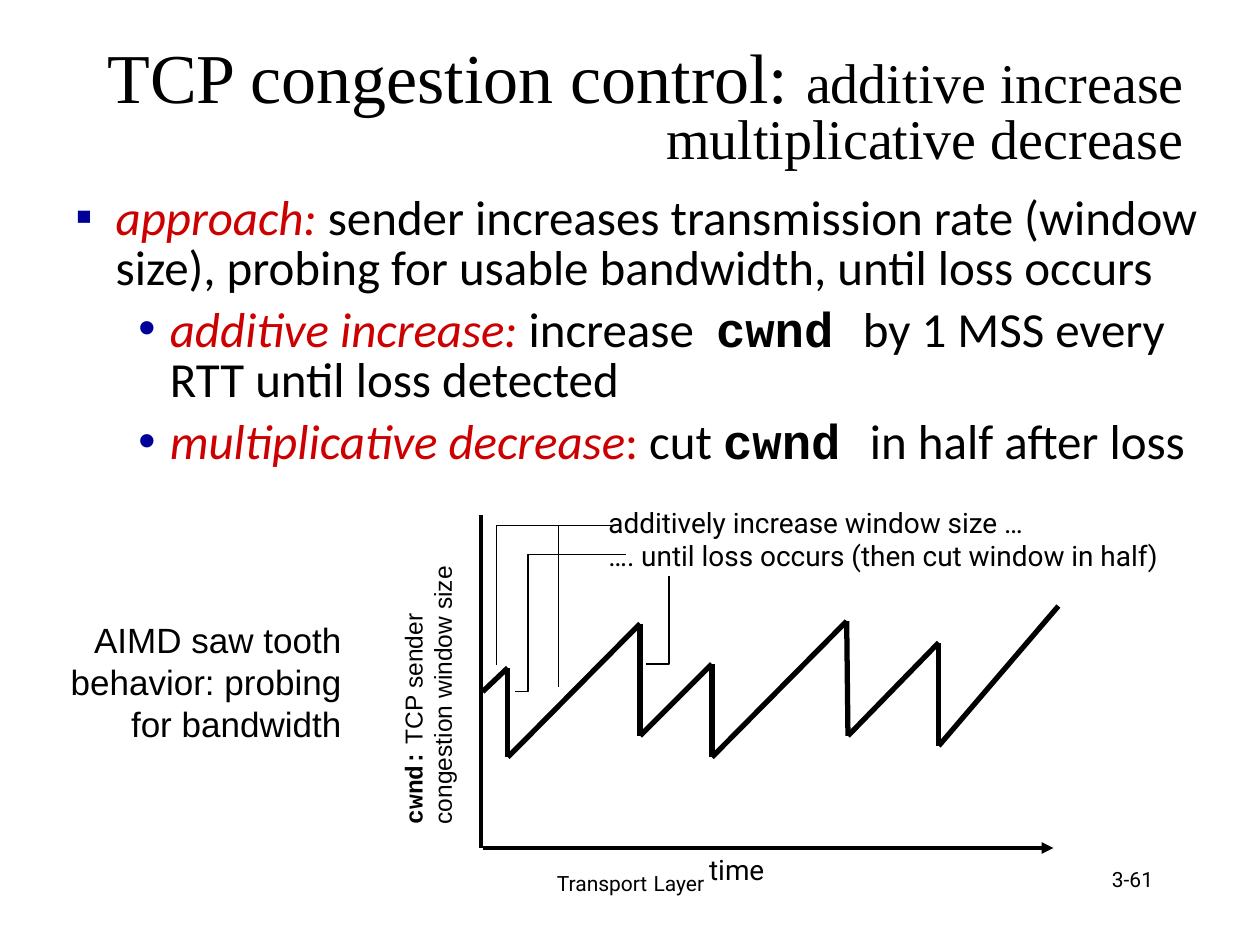
from itertools import pairwise
from lxml.etree import SubElement
from pptx import Presentation
from pptx.dml.color import RGBColor
from pptx.enum.shapes import MSO_CONNECTOR, MSO_SHAPE
from pptx.enum.text import MSO_ANCHOR, PP_ALIGN
from pptx.oxml.ns import qn
from pptx.util import Inches, Pt

THEME = {
    "black": RGBColor(0x00, 0x00, 0x00),
    "white": RGBColor(0xFF, 0xFF, 0xFF),
    "red": RGBColor(0xCC, 0x00, 0x00),
    "bullet": "000099",
    "axis": 2.25, "tooth": 3, "callout": 0.75,
}
LEFT, CENTER, RIGHT = PP_ALIGN.LEFT, PP_ALIGN.CENTER, PP_ALIGN.RIGHT

# Run styles: font, size, colour, bold, italic
STYLES = {
    "title": ("Times New Roman", 40, "black", False, False),
    "subtitle": ("Times New Roman", 32, "black", False, False),
    "body": ("Calibri", 28, "black", False, False),
    "term": ("Calibri", 28, "red", False, True),
    "colon": ("Calibri", 28, "red", False, False),
    "code": ("Courier New", 28, "black", True, False),
    "side": ("Arial", 20, "black", False, False),
    "axis": ("Arial", 14, "black", False, False),
    "axis code": ("Courier New", 14, "black", True, False),
    "note": ("Roboto", 16, "black", False, False),
    "footer": ("Roboto", 12, "black", False, False),
    "footer gap": ("Roboto", 14, "black", False, False),
}

# Content: each paragraph is a list of (text, style) runs
TITLE = [("TCP congestion control: ", "title"),
         ("additive increase multiplicative decrease", "subtitle")]

# Bullets: level, character, left margin, hanging indent, runs
BULLETS = [
    (0, "▪", 0.32, 0.32, [
        ("approach: ", "term"),
        ("sender increases transmission rate (window size), probing for "
         "usable bandwidth, until loss occurs", "body")]),
    (1, "•", 0.75, 0.25, [
        ("additive increase:", "term"), (" increase  ", "body"),
        ("cwnd ", "code"), ("by 1 MSS every RTT until loss detected", "body")]),
    (1, "•", 0.75, 0.25, [
        ("multiplicative decrease", "term"), (":", "colon"), (" cut ", "body"),
        ("cwnd ", "code"), ("in half after loss", "body")]),
]

# Labels: box, alignment, wrap, paragraphs
LABELS = [
    ((3.42, 6.83, 3.17, 0.5), CENTER, True,
     [[("Transport", "footer"), (" ", "footer gap"), ("Layer", "footer")]]),
    ((7.17, 6.83, 2.08, 0.5), RIGHT, True, [[("3-61", "footer")]]),
    ((0.46, 4.86, 2.35, 1.1), RIGHT, False,
     [[("AIMD saw tooth", "side")], [("behavior: probing", "side")],
      [("for bandwidth", "side")]]),
    ((4.73, 3.96, 4.78, 0.64), LEFT, False,
     [[("additively increase window size …", "note")],
      [("…. until loss occurs (then cut window in half)", "note")]]),
    ((5.53, 6.72, 0.67, 0.37), LEFT, False, [[("time", "note")]]),
]
Y_LABEL = [[("cwnd:", "axis code"), (" TCP sender", "axis")],
           [("congestion window size", "axis")]]

# Graph, in inches on the slide
X_AXIS = (3.83, 6.73), (8.36, 6.73)
Y_AXIS = (3.82, 4.09), (3.82, 6.73)
SAWTOOTH = [(3.83, 5.49), (4.03, 5.3), (4.03, 6.01), (5.08, 4.95),
            (5.08, 5.84), (5.65, 5.27), (5.65, 6.01), (6.72, 4.93),
            (6.73, 5.84), (7.45, 5.1), (7.45, 5.92), (8.4, 4.81)]
CALLOUTS = [
    [(4.88, 4.17), (3.94, 4.17), (3.94, 5.28)],
    [(4.97, 4.4), (4.19, 4.4), (4.19, 5.49), (4.09, 5.49)],
    [(4.88, 4.17), (4.43, 4.17), (4.43, 5.45)],
    [(5.31, 4.57), (5.31, 5.27), (5.13, 5.27)],
]


def inches(values):
    return [Inches(v) for v in values]


def add_runs(p, runs):
    for text, style in runs:
        r = p.add_run()
        r.text = text
        font, size, color, bold, italic = STYLES[style]
        r.font.name, r.font.size = font, Pt(size)
        r.font.bold, r.font.italic = bold, italic
        r.font.color.rgb = THEME[color]


def fill_text(tf, paragraphs, align=LEFT, wrap=True):
    tf.word_wrap = wrap
    tf.vertical_anchor = MSO_ANCHOR.TOP
    for i, runs in enumerate(paragraphs):
        p = tf.add_paragraph() if i else tf.paragraphs[0]
        p.alignment = align
        add_runs(p, runs)


def add_bullet(p, level, char, margin, hang):
    p.level = level
    p.line_spacing, p.space_before = 0.85, Pt(7)
    pPr = p._p.get_or_add_pPr()
    pPr.set("marL", str(Inches(margin)))
    pPr.set("indent", str(-Inches(hang)))
    color = SubElement(pPr, qn("a:buClr"))
    SubElement(color, qn("a:srgbClr"), val=THEME["bullet"])
    SubElement(pPr, qn("a:buFont"), typeface="Arial")
    SubElement(pPr, qn("a:buChar"), char=char)


def style_line(line, width):
    line.color.rgb = THEME["black"]
    line.width = Pt(width)


def add_line(s, start, end, width, arrow=False):
    line = s.shapes.add_connector(MSO_CONNECTOR.STRAIGHT, *inches(start + end))
    style_line(line.line, width)
    spPr = line._element.spPr
    if arrow:
        SubElement(spPr.find(qn("a:ln")), qn("a:tailEnd"), type="triangle")
    SubElement(spPr, qn("a:effectLst"))


def add_callout(s, points):
    start, *rest = [inches(pt) for pt in points]
    builder = s.shapes.build_freeform(*start)
    builder.add_line_segments(rest, close=False)
    sp = builder.convert_to_shape()
    sp.shadow.inherit = False
    sp.fill.background()
    style_line(sp.line, THEME["callout"])


def main():
    prs = Presentation()
    prs.slide_width, prs.slide_height = Inches(10), Inches(7.5)
    s = prs.slides.add_slide(prs.slide_layouts[5])

    # Title
    sp = s.shapes.title
    sp.left, sp.top, sp.width, sp.height = inches((0.25, 0.25, 9.25, 1.25))
    fill_text(sp.text_frame, [TITLE], RIGHT)
    sp.text_frame.vertical_anchor = MSO_ANCHOR.MIDDLE
    sp.text_frame.paragraphs[0].line_spacing = 0.8

    # Bullets
    tf = s.shapes.add_textbox(*inches((0.5, 1.5, 9.16, 1.58))).text_frame
    fill_text(tf, [runs for *_, runs in BULLETS])
    for p, (*bullet, _) in zip(tf.paragraphs, BULLETS):
        add_bullet(p, *bullet)

    # Rotated axis label
    sp = s.shapes.add_shape(MSO_SHAPE.RECTANGLE, *inches((2.27, 5.23, 2.25, 0.57)))
    sp.rotation = 270
    sp.shadow.inherit = False
    sp.fill.solid()
    sp.fill.fore_color.rgb = THEME["white"]
    sp.line.fill.background()
    fill_text(sp.text_frame, Y_LABEL, wrap=False)

    # Axes and sawtooth
    add_line(s, *X_AXIS, THEME["axis"], arrow=True)
    add_line(s, *Y_AXIS, THEME["axis"])
    for start, end in pairwise(SAWTOOTH):
        add_line(s, start, end, THEME["tooth"])

    # Labels and callouts
    for box, align, wrap, paragraphs in LABELS:
        tf = s.shapes.add_textbox(*inches(box)).text_frame
        fill_text(tf, paragraphs, align, wrap)
    for points in CALLOUTS:
        add_callout(s, points)

    prs.save("out.pptx")


if __name__ == "__main__":
    main()
